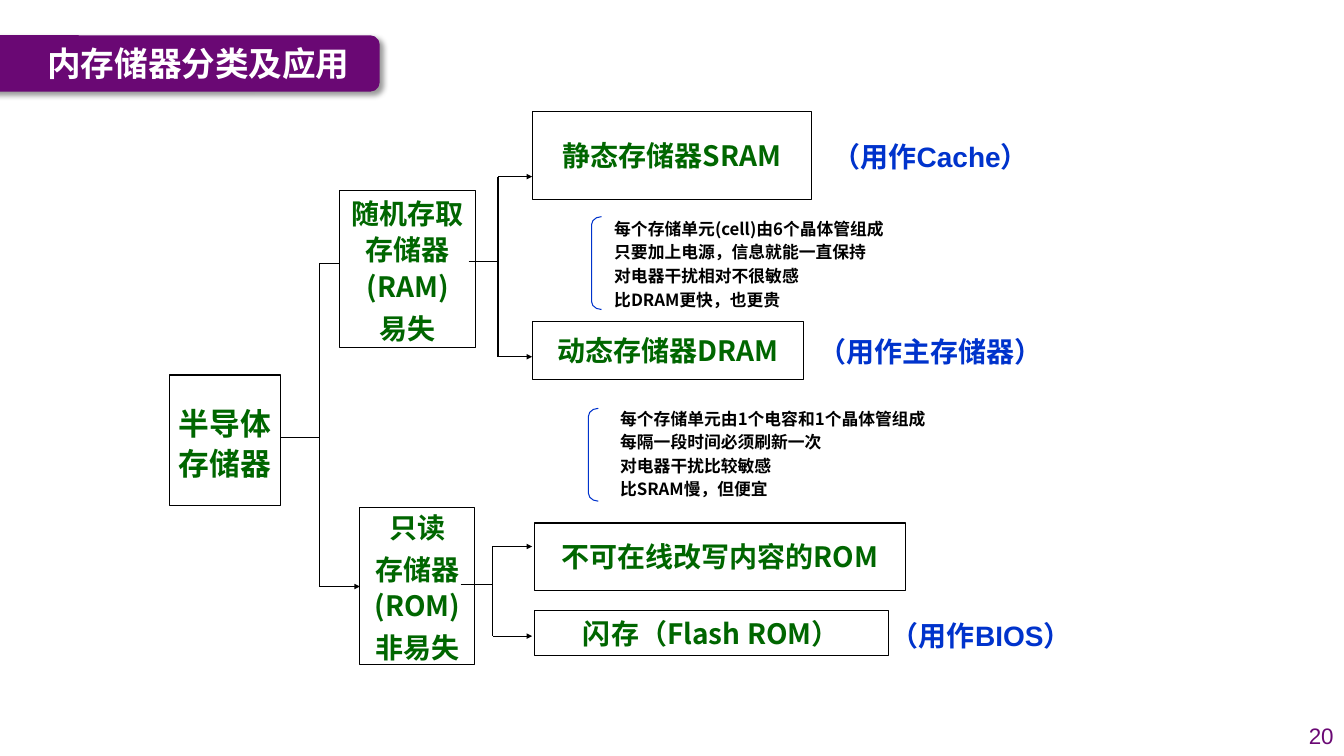
from lxml.etree import SubElement
from pptx import Presentation
from pptx.dml.color import RGBColor
from pptx.enum.shapes import MSO_CONNECTOR as Connector, MSO_SHAPE as Preset
from pptx.enum.text import MSO_ANCHOR as Anchor, MSO_AUTO_SIZE as AutoSize, PP_ALIGN as Align
from pptx.oxml.ns import qn
from pptx.util import Cm, Pt

CJK, LATIN = "Noto Sans CJK SC", "Arial"
GREEN, BLUE, PURPLE, BLACK, WHITE = "006600", "0033CC", "6A0874", "000000", "FFFFFF"


def colour(value):
    """Turn a hex string into a colour."""
    return RGBColor.from_string(value)


def write(shape, *lines, size=20, font=CJK, ink=GREEN, bold=True, align=Align.CENTER,
          anchor=Anchor.MIDDLE, insets=(0.25, 0.13, 0.25, 0.13), leading=1.2, before=0.2, indent=0):
    """Fill a shape with formatted paragraphs."""
    frame = shape.text_frame
    frame.word_wrap, frame.auto_size, frame.vertical_anchor = True, AutoSize.NONE, anchor
    frame.margin_left, frame.margin_top, frame.margin_right, frame.margin_bottom = map(Cm, insets)
    frame.text = "\n".join(lines)
    for paragraph in frame.paragraphs:
        paragraph.alignment = align
        paragraph.line_spacing = Pt(round(size * leading, 1))
        paragraph.space_before = Pt(round(size * before, 1))
        if indent:
            properties = paragraph._p.get_or_add_pPr()
            properties.set("marL", str(Cm(indent)))
            properties.set("indent", "0")
        for run in paragraph.runs:
            run.font.name, run.font.size, run.font.bold = font, Pt(size), bold
            run.font.color.rgb = colour(ink)
            SubElement(run._r.get_or_add_rPr(), qn("a:ea"), typeface=CJK)


class MemoryTree:
    """Draw the parts of the memory tree on one slide."""

    def __init__(self, slide, line_width=0.75):
        """Keep the slide and the common line width."""
        self.slide, self.shapes, self.line_width = slide, slide.shapes, Pt(line_width)

    def preset(self, kind, place, fill=None, line=None):
        """Add a preset shape without a theme shadow."""
        shape = self.shapes.add_shape(kind, *map(Cm, place))
        shape.shadow.inherit = False
        if fill:
            shape.fill.solid()
            shape.fill.fore_color.rgb = colour(fill)
        else:
            shape.fill.background()
        if line:
            shape.line.color.rgb, shape.line.width = colour(line), self.line_width
        else:
            shape.line.fill.background()
        return shape

    def box(self, place, *lines, **style):
        """Add a framed node of the tree."""
        style = {"insets": (0.18, 0.03, 0.18, 0.03)} | style
        write(self.preset(Preset.RECTANGLE, place, WHITE, BLACK), *lines, **style)

    def text(self, place, *lines, **style):
        """Add a text box."""
        write(self.shapes.add_textbox(*map(Cm, place)), *lines, **style)

    def line(self, start, end, arrow=False):
        """Add a straight line, with an arrowhead if asked."""
        connector = self.shapes.add_connector(Connector.STRAIGHT, *map(Cm, start + end))
        connector.line.color.rgb, connector.line.width = colour(BLACK), self.line_width
        if arrow:
            SubElement(connector.line._get_or_add_ln(), qn("a:tailEnd"),
                       type="triangle", w="sm", len="sm")
        SubElement(connector._element.spPr, qn("a:effectLst"))

    def fork(self, left, spine, right, stem, branches):
        """Join a parent node to its children."""
        self.line((left, stem), (spine, stem))
        self.line((spine, branches[0]), (spine, branches[-1]))
        for branch in branches:
            self.line((spine, branch), (right, branch), arrow=True)

    def traits(self, place, bracket_place, *lines):
        """Add a bracketed list of traits."""
        self.text(place, *lines, size=12, ink=BLACK, align=Align.LEFT, anchor=Anchor.TOP, indent=0.6)
        bracket = self.preset(Preset.RIGHT_BRACKET, bracket_place, line=BLUE)
        bracket.adjustments[0] = 0.8
        bracket._element.spPr.find(qn("a:xfrm")).set("flipH", "1")

    def title(self, band_place, place, wording):
        """Add the title on its shaded band."""
        band = self.preset(Preset.ROUNDED_RECTANGLE, band_place, PURPLE)
        effects = band._element.spPr.find(qn("a:effectLst"))
        shade = SubElement(effects, qn("a:outerShdw"), blurRad=str(Pt(4)), dist=str(Pt(3)),
                           dir="2700000", algn="tl", rotWithShape="0")
        SubElement(SubElement(shade, qn("a:srgbClr"), val=BLACK), qn("a:alpha"), val="40000")
        title = self.shapes.title
        title.left, title.top, title.width, title.height = map(Cm, place)
        write(title, wording, size=24, ink=WHITE, align=Align.LEFT, before=0)
        band._element.addnext(title._element)


def main():
    """Build the slide and save it."""
    deck = Presentation()
    deck.slide_width, deck.slide_height = Cm(33.87), Cm(19.05)
    tree = MemoryTree(deck.slides.add_slide(deck.slide_layouts[5]))

    tree.box((4.27, 9.45, 2.79, 3.28), "半导体存储器", size=22, font=LATIN,
             leading=1.3, insets=(0.08, 0.18, 0.08, 0.08))
    tree.fork(7.06, 8.05, 9.07, 11.02, (6.65, 14.78))
    family = {"leading": 1.3, "insets": (0.18, 0.1, 0.18, 0.1)}
    tree.box((9.07, 12.78, 2.9, 3.96), "只读", "存储器(ROM)", "非易失", **family)
    tree.box((8.56, 4.8, 3.43, 3.96), "随机存取存储器(RAM)", "易失", **family)
    tree.fork(11.81, 12.55, 13.41, 6.58, (4.45, 8.99))
    tree.fork(11.61, 12.42, 13.41, 14.73, (13.77, 16.03))

    for place, kind in (
        ((13.41, 2.82, 7.04, 2.21), "静态存储器SRAM"),
        ((13.41, 8.1, 6.83, 1.47), "动态存储器DRAM"),
        ((13.46, 13.18, 9.35, 1.7), "不可在线改写内容的ROM"),
        ((13.46, 15.39, 8.94, 1.14), "闪存（Flash ROM）"),
    ):
        tree.box(place, kind)
    for place, use in (
        ((20.52, 3.18, 5.87, 1.5), "（用作Cache）"),
        ((19.93, 8.1, 7.04, 1.5), "（用作主存储器）"),
        ((22.1, 15.39, 5.26, 1.22), "（用作BIOS）"),
    ):
        tree.text(place, use, font=LATIN, ink=BLUE)

    tree.traits((14.63, 5.38, 11.79, 2.62), (14.91, 5.46, 0.25, 2.34),
                "每个存储单元(cell)由6个晶体管组成", "只要加上电源，信息就能一直保持",
                "对电器干扰相对不很敏感", "比DRAM更快，也更贵")
    tree.traits((14.78, 10.16, 12.78, 2.62), (14.83, 10.29, 0.25, 2.34),
                "每个存储单元由1个电容和1个晶体管组成", "每隔一段时间必须刷新一次",
                "对电器干扰比较敏感", "比SRAM慢，但便宜")

    tree.title((-0.51, 0.89, 10.08, 1.42), (0.94, 0.89, 9.14, 1.4), "内存储器分类及应用")
    tree.text((32.46, 18.03, 1.4, 1.02), "20", size=16, font=LATIN, ink=PURPLE,
              bold=False, align=Align.RIGHT, before=0)
    deck.save("out.pptx")


if __name__ == "__main__":
    main()
